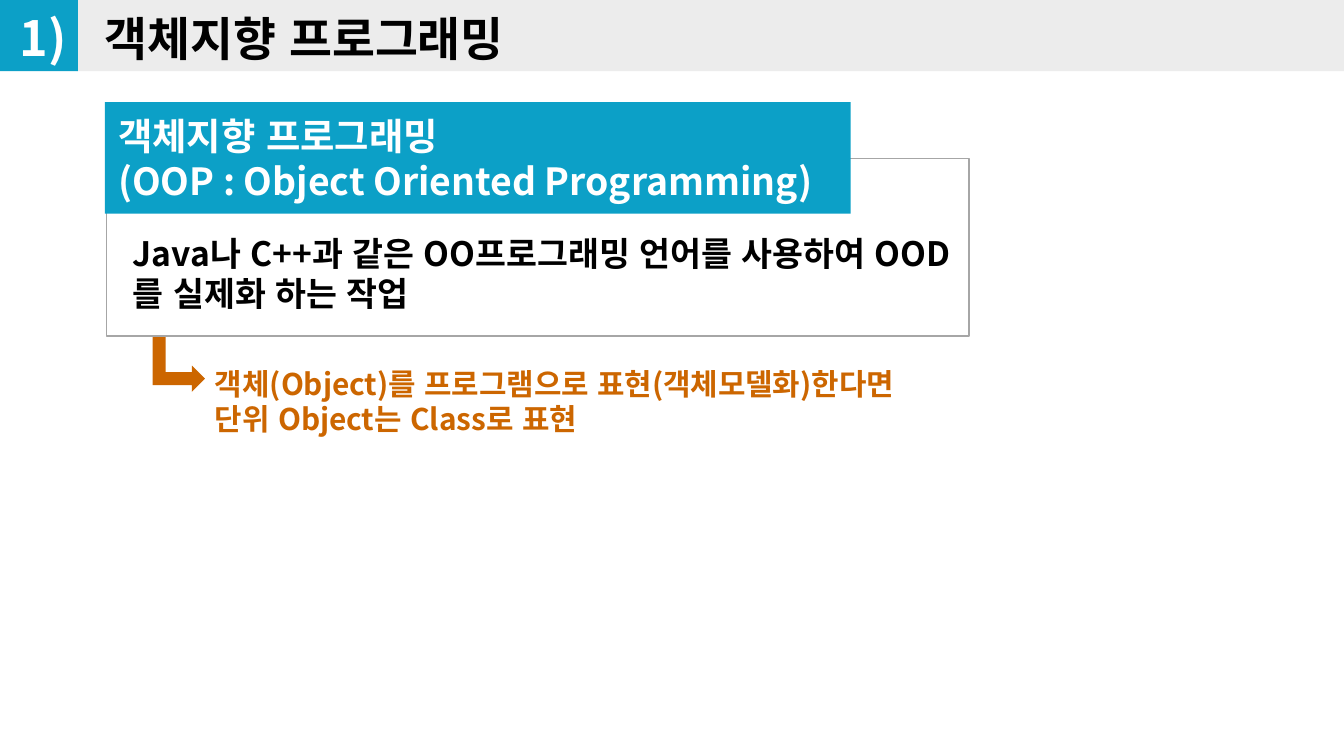
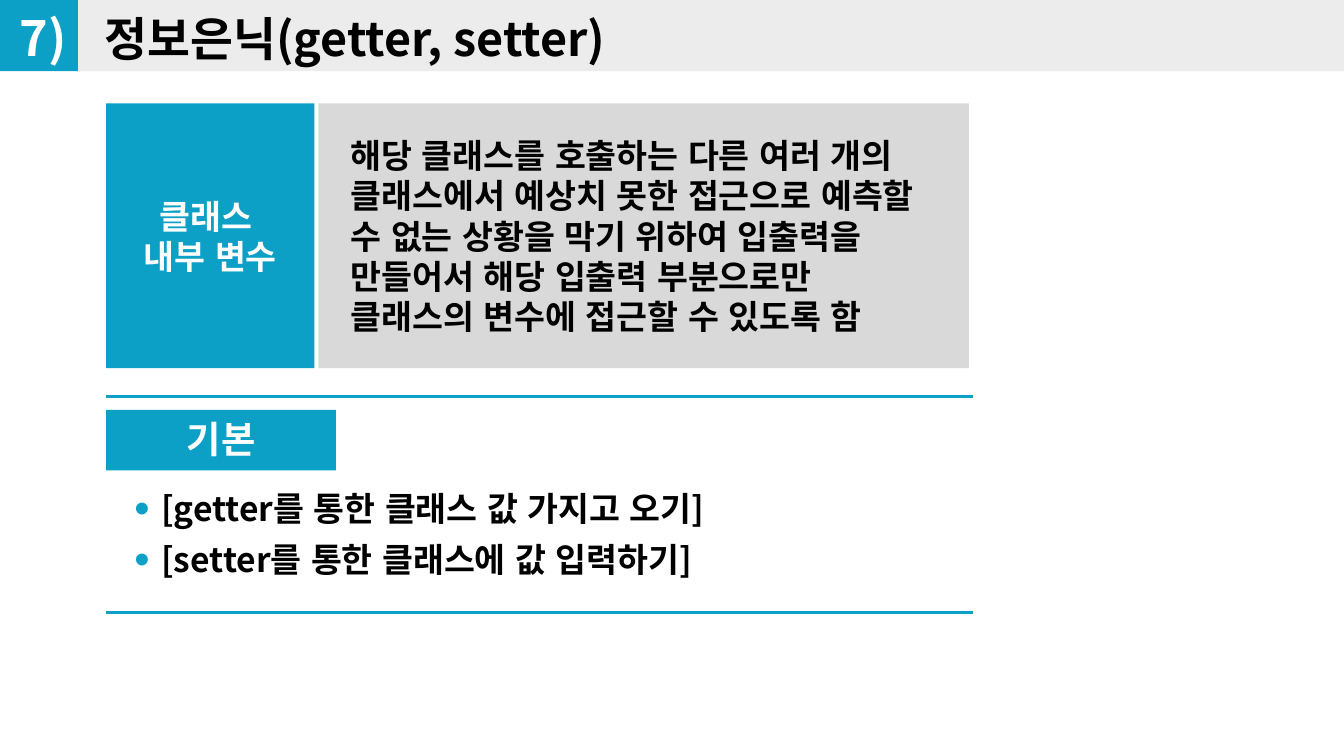
from dataclasses import dataclass

from lxml import etree
from pptx import Presentation
from pptx.dml.color import RGBColor
from pptx.enum.lang import MSO_LANGUAGE_ID
from pptx.enum.shapes import MSO_CONNECTOR, MSO_SHAPE
from pptx.enum.text import MSO_ANCHOR, PP_ALIGN
from pptx.oxml.ns import qn
from pptx.util import Inches, Pt

RECT = MSO_SHAPE.RECTANGLE
BENT_ARROW = MSO_SHAPE.BENT_UP_ARROW
STRAIGHT = MSO_CONNECTOR.STRAIGHT
LEFT, CENTER = PP_ALIGN.LEFT, PP_ALIGN.CENTER
TOP, MIDDLE = MSO_ANCHOR.TOP, MSO_ANCHOR.MIDDLE
KOREAN = MSO_LANGUAGE_ID.KOREAN


@dataclass(frozen=True)
class Theme:
    font: str = "Noto Sans CJK KR"
    accent: str = "0CA0C7"
    note: str = "CC6600"
    band: str = "ECECEC"
    panel: str = "D9D9D9"
    border: str = "A6A6A6"
    white: str = "FFFFFF"
    black: str = "000000"
    number: int = 26
    title: int = 25
    heading: int = 20
    body: int = 18
    small: int = 16


THEME = Theme()
SHAPE_INSETS = (0.1, 0.05, 0.1, 0.05)
TEXT_INSETS = (0.14, 0.07, 0.14, 0.07)
MARGIN = 0.79  # left edge of the content


def rgb(value):
    return RGBColor.from_string(value)


def add_bullet(p, color):
    pPr = p._p.get_or_add_pPr()
    clr = etree.SubElement(pPr, qn("a:buClr"))
    etree.SubElement(clr, qn("a:srgbClr"), val=color)
    etree.SubElement(pPr, qn("a:buSzPct"), val="130000")
    etree.SubElement(pPr, qn("a:buFont"), typeface="Arial")
    etree.SubElement(pPr, qn("a:buChar"), char="•")


def write(tf, text, size=THEME.body, color=THEME.black, align=LEFT, anchor=TOP,
          insets=SHAPE_INSETS, indent=0, bullet=False, gap=6):
    """Fill a text frame; a list gives paragraphs, a newline gives a line break."""
    tf.word_wrap = True
    tf.vertical_anchor = anchor
    tf.margin_left, tf.margin_top, tf.margin_right, tf.margin_bottom = map(Inches, insets)
    paragraphs = [text] if isinstance(text, str) else text
    for i, content in enumerate(paragraphs):
        p = tf.add_paragraph() if i else tf.paragraphs[0]
        p.alignment = align
        if i:
            p.space_before = Pt(gap)
        if indent:
            pPr = p._p.get_or_add_pPr()
            pPr.set("marL", str(Inches(indent)))
            pPr.set("indent", str(Inches(-indent if bullet else 0)))
        if bullet:
            add_bullet(p, THEME.accent)
        for j, line in enumerate(content.split("\n")):
            if j:
                p.add_line_break()
            r = p.add_run()
            r.text = line
            r.font.size, r.font.bold = Pt(size), True
            r.font.color.rgb = rgb(color)
            r.font.name = THEME.font
            r.font.language_id = KOREAN
            rPr = r._r.get_or_add_rPr()
            rPr.set("kern", "0")
            etree.SubElement(rPr, qn("a:ea"), typeface=THEME.font)


class Deck:
    def __init__(self, theme):
        self.theme = theme
        self.prs = Presentation()
        self.prs.slide_width = Inches(10)
        self.prs.slide_height = Inches(10 * 9 / 16)
        self.s = None

    def slide(self, number, title):
        """Start a slide with the title band and its number."""
        t = self.theme
        self.s = self.prs.slides.add_slide(self.prs.slide_layouts[6])
        self.shape(0.57, -0.01, 9.43, 0.54, t.band)
        self.shape(-0.01, -0.01, 0.59, 0.54, t.accent)
        self.text(0.64, 0, 8.92, 0.56, title, size=t.title)
        self.text(-0.01, -0.01, 0.66, 0.58, number, size=t.number,
                  color=t.white, align=CENTER)

    def shape(self, x, y, w, h, fill, text=None, kind=RECT, line=None, rotation=0, **fmt):
        sp = self.s.shapes.add_shape(kind, Inches(x), Inches(y), Inches(w), Inches(h))
        sp.shadow.inherit = False
        sp.rotation = rotation
        sp.fill.solid()
        sp.fill.fore_color.rgb = rgb(fill)
        if line:
            sp.line.color.rgb = rgb(line)
            sp.line.width = Pt(0.75)
        else:
            sp.line.fill.background()
        if text:
            write(sp.text_frame, text, **fmt)

    def text(self, x, y, w, h, text, insets=TEXT_INSETS, **fmt):
        sp = self.s.shapes.add_textbox(Inches(x), Inches(y), Inches(w), Inches(h))
        write(sp.text_frame, text, insets=insets, **fmt)

    def rule(self, x, y, w):
        line = self.s.shapes.add_connector(
            STRAIGHT, Inches(x), Inches(y), Inches(x + w), Inches(y))
        line.line.color.rgb = rgb(self.theme.accent)
        line.line.width = Pt(1.5)
        etree.SubElement(line._element.spPr, qn("a:effectLst"))


def oop_slide(deck):
    t = deck.theme
    deck.slide("1)", "객체지향 프로그래밍")

    # Note under the definition
    deck.shape(1.12, 2.51, 0.42, 0.39, t.note, kind=BENT_ARROW, rotation=90)
    deck.text(1.46, 2.77, 5.7, 0.43,
              "객체(Object)를 프로그램으로 표현(객체모델화)한다면\n"
              "단위 Object는 Class로 표현",
              size=t.small, color=t.note, anchor=MIDDLE)

    # Definition with its heading
    deck.shape(MARGIN, 1.18, 6.42, 1.32, t.white,
               "Java나 C++과 같은 OO프로그래밍 언어를 사용하여 OOD를 실제화 하는 작업",
               line=t.border, insets=(0.1, 0.55, 0.1, 0.05), indent=0.1)
    deck.shape(0.78, 0.76, 5.55, 0.83, t.accent,
               "객체지향 프로그래밍 \n(OOP : Object Oriented Programming)",
               size=t.heading, color=t.white, anchor=MIDDLE)


def hiding_slide(deck):
    t = deck.theme
    deck.slide("7)", "정보은닉(getter, setter)")

    # Term and explanation
    deck.shape(MARGIN, 0.77, 1.55, 1.97, t.accent, "클래스 \n내부 변수",
               color=t.white, align=CENTER, anchor=MIDDLE)
    deck.shape(2.37, 0.77, 4.84, 1.97, t.panel,
               "해당 클래스를 호출하는 다른 여러 개의 클래스에서 예상치 못한 접근으로 "
               "예측할 수 없는 상황을 막기 위하여 입출력을 만들어서 해당 입출력 "
               "부분으로만 클래스의 변수에 접근할 수 있도록 함",
               anchor=MIDDLE, insets=(0.24, 0.05, 0.24, 0.05))

    # Basics between two rules
    deck.shape(MARGIN, 3.05, 1.71, 0.45, t.accent, "기본",
               size=t.heading, color=t.white, align=CENTER)
    deck.text(1, 3.56, 6.3, 0.83,
              ["[getter를 통한 클래스 값 가지고 오기]",
               "[setter를 통한 클래스에 값 입력하기]"],
              insets=(0, 0.07, 0.14, 0.07), indent=0.2, bullet=True)
    for y in (2.95, 4.56):
        deck.rule(MARGIN, y, 6.45)


def main():
    deck = Deck(THEME)
    oop_slide(deck)
    hiding_slide(deck)
    deck.prs.save("out.pptx")


if __name__ == "__main__":
    main()
